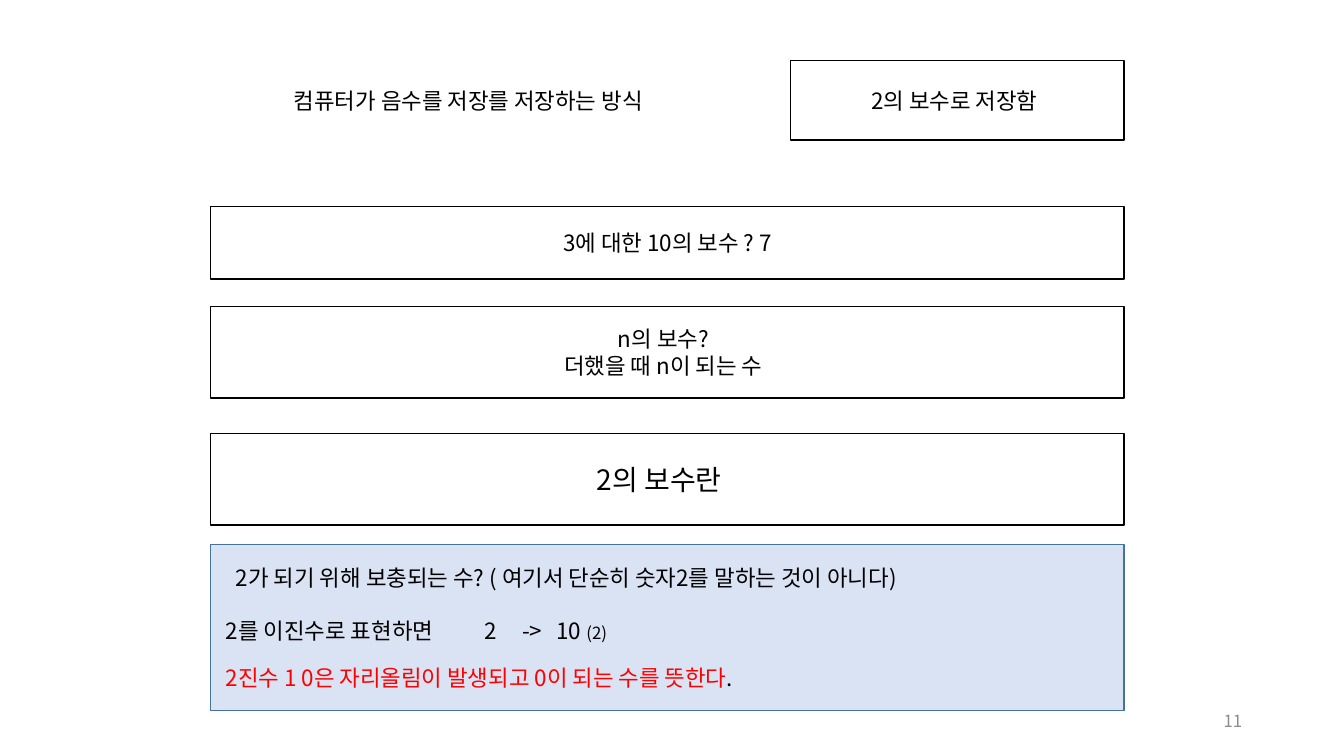
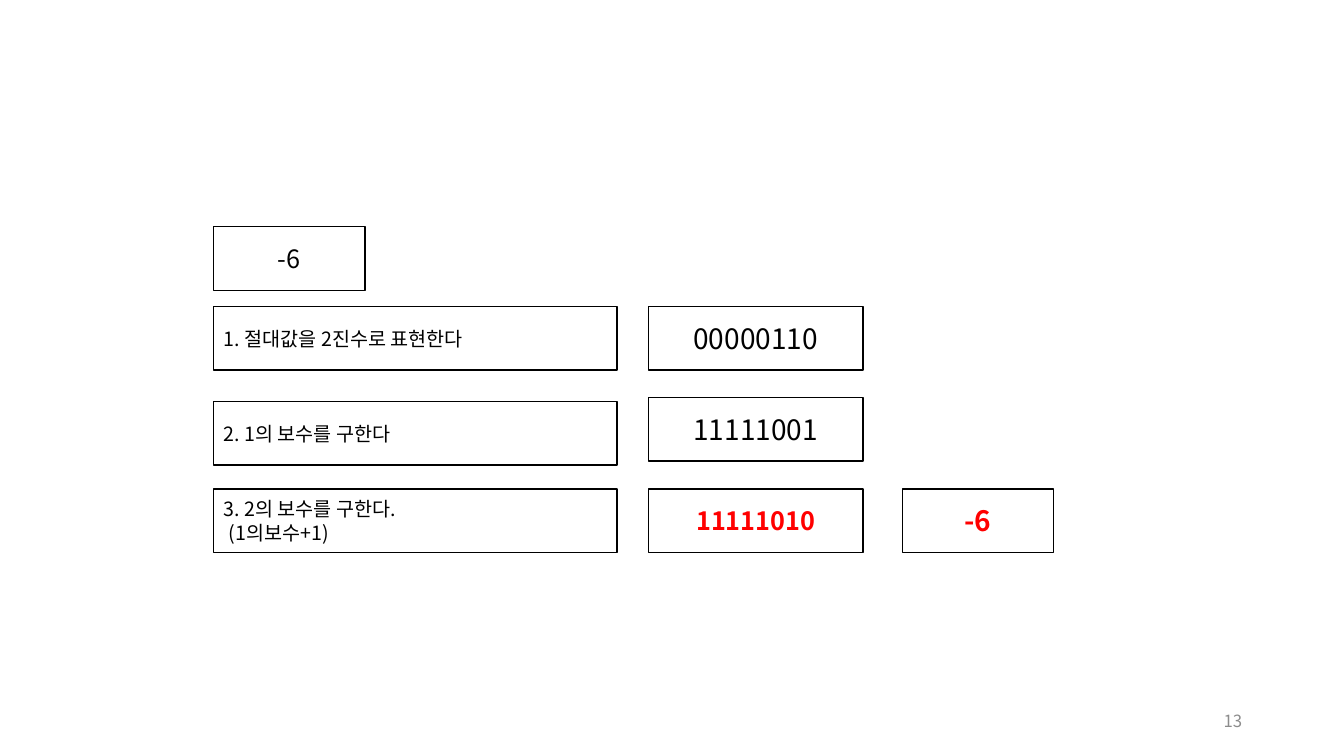
from dataclasses import dataclass

from lxml import etree
from pptx import Presentation
from pptx.dml.color import RGBColor
from pptx.enum.shapes import MSO_SHAPE
from pptx.enum.text import MSO_ANCHOR, PP_ALIGN
from pptx.oxml.ns import qn
from pptx.util import Inches, Pt

RECTANGLE = MSO_SHAPE.RECTANGLE
MIDDLE = MSO_ANCHOR.MIDDLE
LEFT, CENTER, RIGHT = PP_ALIGN.LEFT, PP_ALIGN.CENTER, PP_ALIGN.RIGHT
BLANK_LAYOUT = 6


@dataclass(frozen=True)
class Theme:
    """Colours, type sizes and measures shared by the slides."""
    font: str = "Noto Sans CJK KR"
    ink: str = "000000"
    accent: str = "FF0000"
    muted: str = "8C8C8C"
    paper: str = "FFFFFF"
    panel: str = "DAE3F3"
    panel_line: str = "43739E"
    small: int = 12
    step: int = 14
    body: int = 16
    value: int = 18
    large: int = 20
    line_width: int = 1
    inset: float = 0.1
    width: float = 13.33
    height: float = 7.5


THEME = Theme()


@dataclass(frozen=True)
class Box:
    """A rectangle in inches."""
    left: float
    top: float
    width: float
    height: float

    def lengths(self):
        """Return the four lengths for a new shape."""
        return [Inches(n) for n in (self.left, self.top, self.width, self.height)]

    def inner(self, left, top, width, height):
        """Return a box placed from the top left corner of this one."""
        return Box(self.left + left, self.top + top, width, height)


def format_run(run, size, color=THEME.ink, bold=False):
    """Give a run its font, size, colour and weight."""
    run.font.name = THEME.font
    run.font.size = Pt(size)
    run.font.bold = bold
    run.font.color.rgb = RGBColor.from_string(color)
    east_asian = etree.SubElement(run._r.get_or_add_rPr(), qn("a:ea"))
    east_asian.set("typeface", THEME.font)


def format_frame(frame, align, size, color=THEME.ink, bold=False):
    """Centre a frame vertically and format all of its text."""
    frame.word_wrap = True
    frame.vertical_anchor = MIDDLE
    for paragraph in frame.paragraphs:
        paragraph.alignment = align
        for run in paragraph.runs:
            format_run(run, size, color, bold)


def set_paragraph(paragraph, indent=0, gap=0, tabs=()):
    """Set the left indent, the space after and the tab stops of a paragraph."""
    paragraph.space_after = Pt(gap)
    properties = paragraph._p.get_or_add_pPr()
    properties.set("marL", str(Inches(indent)))
    if tabs:
        tab_list = etree.SubElement(properties, qn("a:tabLst"))
        for position in tabs:
            etree.SubElement(tab_list, qn("a:tab"), pos=str(Inches(position)), algn="l")


def add_box(slide, box, text="", size=THEME.body, align=CENTER, color=THEME.ink,
            bold=False, fill=THEME.paper, line=THEME.ink, pad_left=0, pad_right=0):
    """Draw a text rectangle and return its text frame."""
    shape = slide.shapes.add_shape(RECTANGLE, *box.lengths())
    shape.shadow.inherit = False
    shape.fill.solid()
    shape.fill.fore_color.rgb = RGBColor.from_string(fill)
    if line:
        shape.line.color.rgb = RGBColor.from_string(line)
        shape.line.width = Pt(THEME.line_width)
    else:
        shape.line.fill.background()
    frame = shape.text_frame
    frame.text = text
    frame.margin_left = Inches(THEME.inset + pad_left)
    frame.margin_right = Inches(THEME.inset + pad_right)
    format_frame(frame, align, size, color, bold)
    return frame


def new_slide(presentation, number):
    """Add a blank slide with its page number."""
    slide = presentation.slides.add_slide(presentation.slide_layouts[BLANK_LAYOUT])
    number_box = Box(THEME.width - 3.91, THEME.height - 0.55, 3, 0.4)
    frame = slide.shapes.add_textbox(*number_box.lengths()).text_frame
    frame.text = str(number)
    format_frame(frame, RIGHT, THEME.small, THEME.muted)
    return slide


def add_question_row(slide, box):
    """Put the question on the left and the framed answer on the right."""
    answer_left = 5.75
    add_box(slide, box.inner(0, 0, 5.11, box.height),
            "컴퓨터가 음수를 저장를 저장하는 방식", line=None)
    add_box(slide, box.inner(answer_left, 0, box.width - answer_left, box.height),
            "2의 보수로 저장함", pad_right=0.06)


def add_explanation(slide, box):
    """Fill the tinted panel with the three explaining lines."""
    lines = [
        ([("2가 되기 위해 보충되는 수? ( 여기서 단순히 숫자2를 말하는 것이 아니다)",
           THEME.body, THEME.ink)], dict(indent=0.1, gap=19)),
        ([("2를 이진수로 표현하면\t2\t->\t10 ", THEME.body, THEME.ink),
          ("(2)", THEME.small, THEME.ink)], dict(gap=14, tabs=(2.57, 2.94, 3.28))),
        ([("2진수 1 0은 자리올림이 발생되고 0이 되는 수를 뜻한다", THEME.body, THEME.accent),
          (".", THEME.body, THEME.ink)], {}),
    ]
    frame = add_box(slide, box, fill=THEME.panel, line=THEME.panel_line, pad_left=0.05)
    for index, (runs, layout) in enumerate(lines):
        paragraph = frame.add_paragraph() if index else frame.paragraphs[0]
        paragraph.alignment = LEFT
        set_paragraph(paragraph, **layout)
        for text, size, color in runs:
            run = paragraph.add_run()
            run.text = text
            format_run(run, size, color)


def build_definition_slide(presentation):
    """Build the slide that defines the complement."""
    slide = new_slide(presentation, 11)
    content = Box(2.09, 0.6, 9.06, 6.45)
    add_question_row(slide, content.inner(0, 0, content.width, 0.79))
    bands = [
        (1.45, 0.72, "3에 대한 10의 보수 ? 7", THEME.body, 0),
        (2.44, 0.91, "n의 보수?\n더했을 때 n이 되는 수", THEME.body, 0.08),
        (3.7, 0.91, "2의 보수란", THEME.large, 0.16),
    ]
    for top, height, text, size, pad in bands:
        add_box(slide, content.inner(0, top, content.width, height), text, size,
                pad_right=pad)
    add_explanation(slide, content.inner(0, 4.8, content.width, 1.65))


def add_steps(slide, box, row_height, row_pitch):
    """Stack the conversion steps beside their binary values."""
    steps = [
        ("1. 절대값을 2진수로 표현한다", 0, "00000110", THEME.large, THEME.ink, False),
        ("2. 1의 보수를 구한다", 0.04, "11111001", THEME.large, THEME.ink, False),
        ("3. 2의 보수를 구한다.\n(1의보수+1)", 0, "11111010", THEME.value, THEME.accent, True),
    ]
    for index, (label, drop, value, size, color, bold) in enumerate(steps):
        top = index * row_pitch
        frame = add_box(slide, box.inner(0, top + drop, 4, row_height), label,
                        THEME.step, LEFT)
        for paragraph in frame.paragraphs[1:]:
            set_paragraph(paragraph, indent=0.05)
        add_box(slide, box.inner(4.31, top, 2.13, row_height), value, size,
                color=color, bold=bold)


def build_example_slide(presentation):
    """Build the slide that converts minus six step by step."""
    slide = new_slide(presentation, 13)
    content = Box(2.12, 2.25, 8.33, 3.23)
    row_height, number_width, steps_top = 0.63, 1.5, 0.79
    row_pitch = (content.height - steps_top - row_height) / 2
    add_box(slide, content.inner(0, 0, number_width, row_height), "-6", THEME.value)
    add_steps(slide, content.inner(0, steps_top, 6.44, content.height - steps_top),
              row_height, row_pitch)
    add_box(slide, content.inner(content.width - number_width, content.height - row_height,
                                 number_width, row_height),
            "-6", THEME.large, color=THEME.accent, bold=True)


def main():
    """Build and save the presentation."""
    presentation = Presentation()
    presentation.slide_width = Inches(THEME.width)
    presentation.slide_height = Inches(THEME.height)
    build_definition_slide(presentation)
    build_example_slide(presentation)
    presentation.save("out.pptx")


if __name__ == "__main__":
    main()
